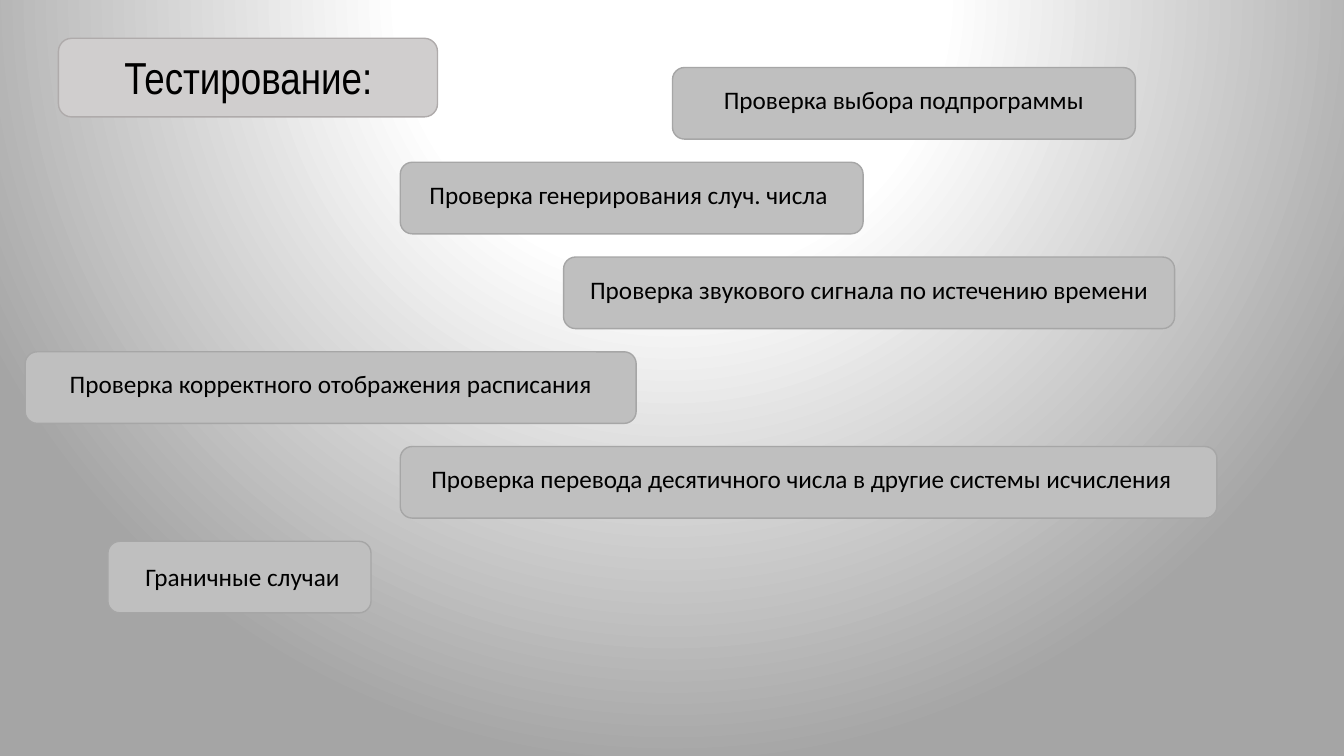
from dataclasses import dataclass

from lxml.etree import SubElement
from pptx import Presentation
from pptx.dml.color import RGBColor
from pptx.enum.shapes import MSO_SHAPE
from pptx.enum.text import MSO_ANCHOR, MSO_AUTO_SIZE, PP_ALIGN
from pptx.oxml.ns import qn
from pptx.shapes.autoshape import Shape
from pptx.slide import Slide
from pptx.util import Inches, Pt

BLACK = RGBColor(0x00, 0x00, 0x00)
WHITE = RGBColor(0xFF, 0xFF, 0xFF)
BACKDROP_GRAY = RGBColor(0xA5, 0xA5, 0xA5)
TITLE_FILL = RGBColor(0xD0, 0xCE, 0xCE)
TITLE_LINE = RGBColor(0xAF, 0xAB, 0xAB)
CHECK_FILL = RGBColor(0xBF, 0xBF, 0xBF)
CHECK_LINE = RGBColor(0xA6, 0xA6, 0xA6)

FIRST_TOP = 0.67
ROW_STEP = 0.94
CHECK_HEIGHT = 0.71
LABEL_INSET = 0.13
LABEL_HEIGHT = 0.4


@dataclass(frozen=True)
class Check:
    text: str
    left: float
    width: float
    shift_x: float = 0.0  # label offset from the panel's centre
    label_drop: float = 0.12  # label top below the panel's top


CHECKS = [
    Check("Проверка выбора подпрограммы", 6.67, 4.59),
    Check("Проверка генерирования случ. числа", 3.97, 4.59, shift_x=-0.03),
    Check("Проверка звукового сигнала по истечению времени", 5.59, 6.06),
    Check("Проверка корректного отображения расписания", 0.25, 6.06),
    Check("Проверка перевода десятичного числа в другие системы исчисления",
          3.97, 8.1, shift_x=-0.07),
    Check("Граничные случаи", 1.07, 2.61, shift_x=0.03, label_drop=0.15),
]


def set_background(slide: Slide) -> None:
    """Circular gradient centred above the slide."""
    slide.background.fill.gradient()
    grad = slide.element.find(".//" + qn("a:gradFill"))
    for child in list(grad):
        grad.remove(child)
    stops = SubElement(grad, qn("a:gsLst"))
    for percent, color in ((0, WHITE), (35, WHITE), (100, BACKDROP_GRAY)):
        gs = SubElement(stops, qn("a:gs"), pos=str(percent * 1000))
        SubElement(gs, qn("a:srgbClr"), val=str(color))
    circle = SubElement(grad, qn("a:path"), path="circle")
    SubElement(circle, qn("a:fillToRect"),
               l="50000", t="-80000", r="50000", b="180000")


def add_panel(slide: Slide, left: float, top: float, width: float,
              height: float, fill: RGBColor, line: RGBColor) -> Shape:
    sp = slide.shapes.add_shape(MSO_SHAPE.ROUNDED_RECTANGLE, Inches(left),
                                Inches(top), Inches(width), Inches(height))
    sp.shadow.inherit = False
    sp.fill.solid()
    sp.fill.fore_color.rgb = fill
    sp.line.color.rgb = line
    sp.line.width = Pt(1)
    return sp


def write_text(sp: Shape, text: str, *, size: float = 18,
               font: str = "Calibri", color: RGBColor = BLACK) -> None:
    tf = sp.text_frame
    tf.word_wrap = True
    tf.auto_size = MSO_AUTO_SIZE.SHAPE_TO_FIT_TEXT
    tf.vertical_anchor = MSO_ANCHOR.TOP
    p = tf.paragraphs[0]
    p.alignment = PP_ALIGN.CENTER
    r = p.add_run()
    r.text = text
    r.font.size = Pt(size)
    r.font.name = font
    r.font.color.rgb = color


def add_title(slide: Slide, text: str) -> None:
    panel = add_panel(slide, 0.58, 0.38, 3.76, 0.78, TITLE_FILL, TITLE_LINE)
    title = slide.shapes.title
    title.left, title.top = Inches(0.74), Inches(0.44)
    title.width, title.height = Inches(3.45), Inches(0.64)
    write_text(title, text, size=32, font="Arial Narrow")
    title.element.addprevious(panel.element)  # panel goes behind the title


def add_check(slide: Slide, check: Check, top: float) -> None:
    add_panel(slide, check.left, top, check.width, CHECK_HEIGHT,
              CHECK_FILL, CHECK_LINE)
    label = slide.shapes.add_textbox(
        Inches(check.left + LABEL_INSET + check.shift_x),
        Inches(top + check.label_drop),
        Inches(check.width - 2 * LABEL_INSET), Inches(LABEL_HEIGHT))
    write_text(label, check.text)


def main() -> None:
    prs = Presentation()
    prs.slide_width, prs.slide_height = Inches(13.33), Inches(7.5)
    slide = prs.slides.add_slide(prs.slide_layouts.get_by_name("Title Only"))
    set_background(slide)

    # Heading
    add_title(slide, "Тестирование:")

    # Staggered checks, one per row
    for row, check in enumerate(CHECKS):
        add_check(slide, check, FIRST_TOP + row * ROW_STEP)

    prs.save("out.pptx")


if __name__ == "__main__":
    main()
